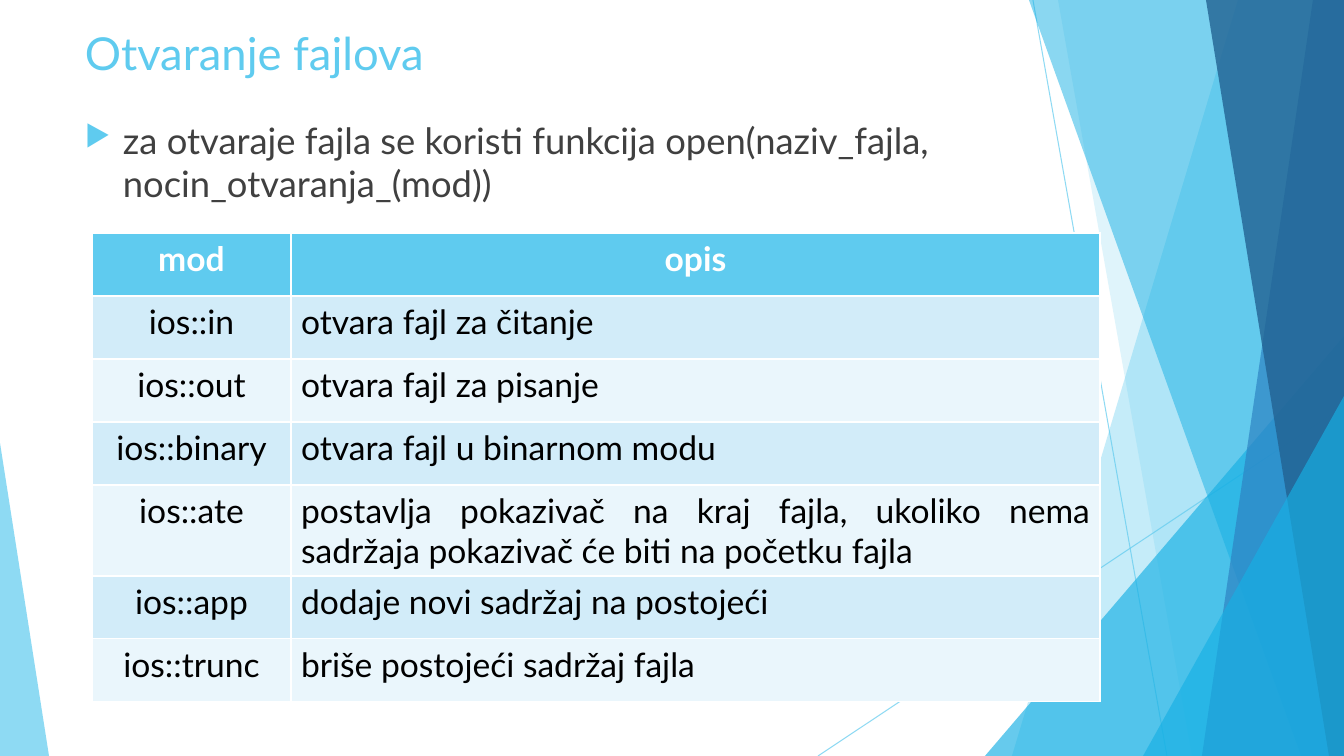
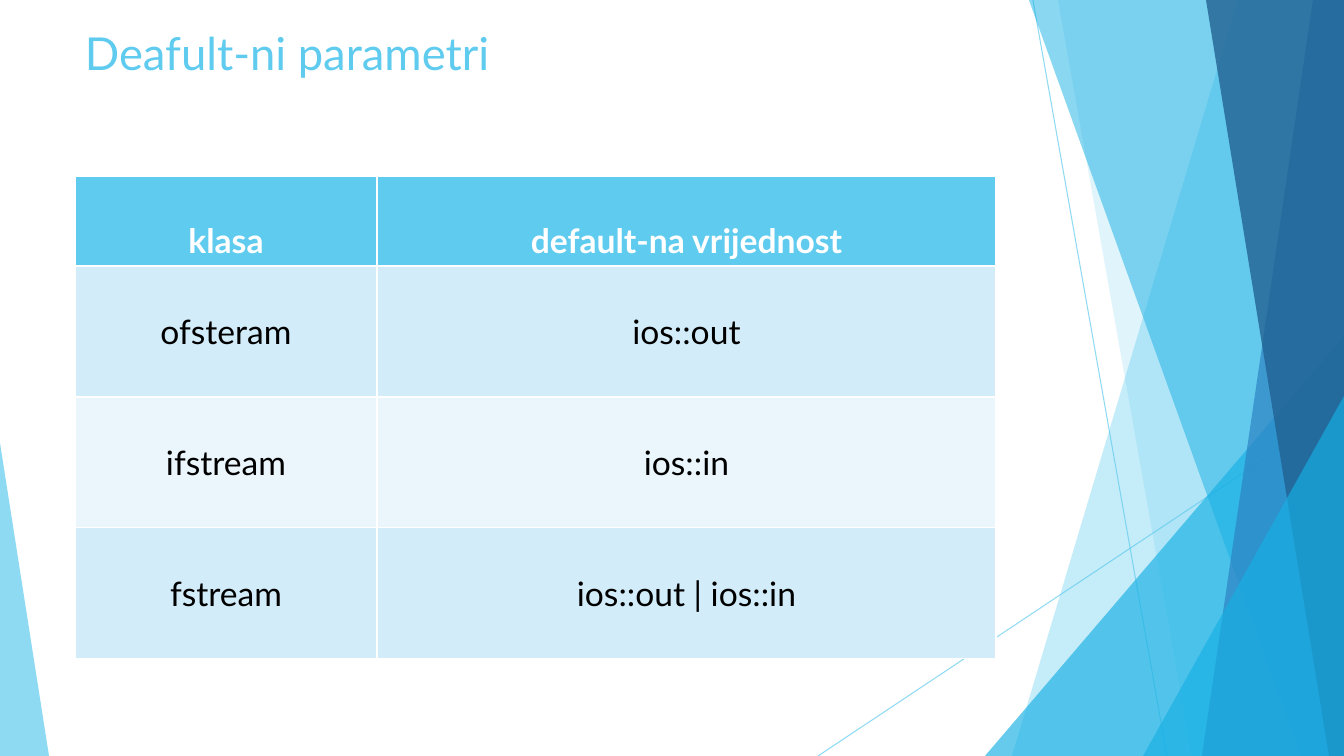
from lxml import etree
from pptx import Presentation
from pptx.dml.color import RGBColor
from pptx.enum.shapes import MSO_CONNECTOR, MSO_SHAPE
from pptx.enum.text import MSO_ANCHOR, PP_ALIGN
from pptx.oxml.ns import qn
from pptx.util import Emu, Pt

STRAIGHT = MSO_CONNECTOR.STRAIGHT
TRIANGLE = MSO_SHAPE.ISOSCELES_TRIANGLE
TOP, MIDDLE, BOTTOM = MSO_ANCHOR.TOP, MSO_ANCHOR.MIDDLE, MSO_ANCHOR.BOTTOM
CENTER, JUSTIFY = PP_ALIGN.CENTER, PP_ALIGN.JUSTIFY

SCALE = 914400 / 100.8  # EMU per pixel
WIDTH, HEIGHT = 1344, 756
FONT = "Lato"
HEX = {
    "sky": "5FCBEF", "cyan": "17B0E4", "blue": "2E83C3", "navy": "226292",
    "text": "404040", "black": "000000", "white": "FFFFFF",
    "band_dark": "D2ECF9", "band_light": "EAF6FC",
}
COLORS = {name: RGBColor.from_string(value) for name, value in HEX.items()}

# Background, back to front: (left, top, width, height) for triangles,
# (top x, bottom x) for panels that reach the right edge
LINES = [(1033, 0, 1167, HEIGHT), (WIDTH, 406, 818, HEIGHT)]
FACETS = [
    ((1238, 1012), "sky", 36),
    ((1058, 1192), "sky", 20),
    ((985, 336, 359, 420), "cyan", 66),
    ((1029, 1301), "cyan", 50),
    ((1313, 1202), "blue", 70),
    ((1206, 1329), "navy", 80),
    ((1143, 396, 201, 360), "cyan", 66),
    ((0, 443, 49, 313), "sky", 70),
]

SLIDES = [
    {
        "title": "Otvaranje fajlova",
        "body": "za otvaraje fajla se koristi funkcija "
                "open(naziv_fajla, nocin_otvaranja_(mod))",
        "left": 92, "top": 233,
        "columns": [199, 809],
        "heights": [63, 63, 63, 63, 91, 63, 63],
        "header_anchor": TOP, "row_anchor": TOP, "last_align": JUSTIFY,
        "rows": [
            ("mod", "opis"),
            ("ios::in", "otvara fajl za čitanje"),
            ("ios::out", "otvara fajl za pisanje"),
            ("ios::binary", "otvara fajl u binarnom modu"),
            ("ios::ate", "postavlja pokazivač na kraj fajla, ukoliko nema "
                         "sadržaja pokazivač će biti na početku fajla"),
            ("ios::app", "dodaje novi sadržaj na postojeći"),
            ("ios::trunc", "briše postojeći sadržaj fajla"),
        ],
    },
    {
        "title": "Deafult-ni parametri",
        "body": None,
        "left": 75, "top": 176,
        "columns": [302, 619],
        "heights": [90, 131, 131, 131],
        "header_anchor": BOTTOM, "row_anchor": MIDDLE, "last_align": CENTER,
        "rows": [
            ("klasa", "default-na vrijednost"),
            ("ofsteram", "ios::out"),
            ("ifstream", "ios::in"),
            ("fstream", "ios::out | ios::in"),
        ],
    },
]


def px(*lengths):
    return [Emu(round(length * SCALE)) for length in lengths]


def write(frame, text, size, color, bold=False):
    frame.word_wrap = True
    paragraph = frame.paragraphs[0]
    paragraph.text = text
    font = paragraph.font
    font.name, font.size, font.bold = FONT, Pt(size), bold
    font.color.rgb = COLORS[color]
    return paragraph


presentation = Presentation()
presentation.slide_width, presentation.slide_height = px(WIDTH, HEIGHT)

for content in SLIDES:
    slide = presentation.slides.add_slide(presentation.slide_layouts[6])
    shapes = slide.shapes

    # Thin crossing lines
    for ends in LINES:
        connector = shapes.add_connector(STRAIGHT, *px(*ends))
        connector.line.color.rgb = COLORS["sky"]
        connector.line.width = Pt(0.75)
        color = connector.line.fill._xPr.find(".//" + qn("a:srgbClr"))
        etree.SubElement(color, qn("a:alpha"), val="70000")
        etree.SubElement(connector._element.spPr, qn("a:effectLst"))

    # Translucent facets
    for place, color_name, opacity in FACETS:
        if len(place) == 4:
            facet = shapes.add_shape(TRIANGLE, *px(*place))
            facet.adjustments[0] = 1 if place[0] else 0
        else:
            top_x, bottom_x = place
            builder = shapes.build_freeform(top_x, 0, scale=SCALE)
            builder.add_line_segments(
                [(WIDTH, 0), (WIDTH, HEIGHT), (bottom_x, HEIGHT)], close=True)
            facet = builder.convert_to_shape()
        facet.shadow.inherit = False
        facet.line.fill.background()
        facet.fill.solid()
        facet.fill.fore_color.rgb = COLORS[color_name]
        color = facet._element.spPr.find(".//" + qn("a:srgbClr"))
        etree.SubElement(color, qn("a:alpha"), val=str(opacity * 1000))

    # Title
    title = shapes.add_textbox(*px(75, 20, 948, 56))
    write(title.text_frame, content["title"], 32.4, "sky")

    # Bulleted text
    if content["body"]:
        body = shapes.add_textbox(*px(75, 113, 948, 100))
        paragraph = write(body.text_frame, content["body"], 26, "text")
        properties = paragraph._p.get_or_add_pPr()
        indent = px(38)[0]
        properties.set("marL", str(indent))
        properties.set("indent", str(-indent))
        bullet_color = etree.Element(qn("a:buClr"))
        etree.SubElement(bullet_color, qn("a:srgbClr"), val=HEX["sky"])
        bullet_size = etree.Element(qn("a:buSzPct"), val="80000")
        bullet = etree.Element(qn("a:buChar"), char="▶")
        for position, element in enumerate([bullet_color, bullet_size, bullet]):
            properties.insert(position, element)

    # Table; its default style draws the white rules
    rows, columns, heights = content["rows"], content["columns"], content["heights"]
    table = shapes.add_table(
        len(rows), len(columns),
        *px(content["left"], content["top"], sum(columns), sum(heights))).table
    for column, width in zip(table.columns, px(*columns)):
        column.width = width
    for row, height in zip(table.rows, px(*heights)):
        row.height = height
    for row_index, texts in enumerate(rows):
        header = row_index == 0
        band = "band_dark" if row_index % 2 else "band_light"
        for column_index, text in enumerate(texts):
            cell = table.cell(row_index, column_index)
            cell.fill.solid()
            cell.fill.fore_color.rgb = COLORS["sky" if header else band]
            cell.vertical_anchor = content["header_anchor" if header else "row_anchor"]
            paragraph = write(cell.text_frame, text, 24,
                              "white" if header else "black", header)
            centered = header or column_index == 0
            paragraph.alignment = CENTER if centered else content["last_align"]

presentation.save("out.pptx")
